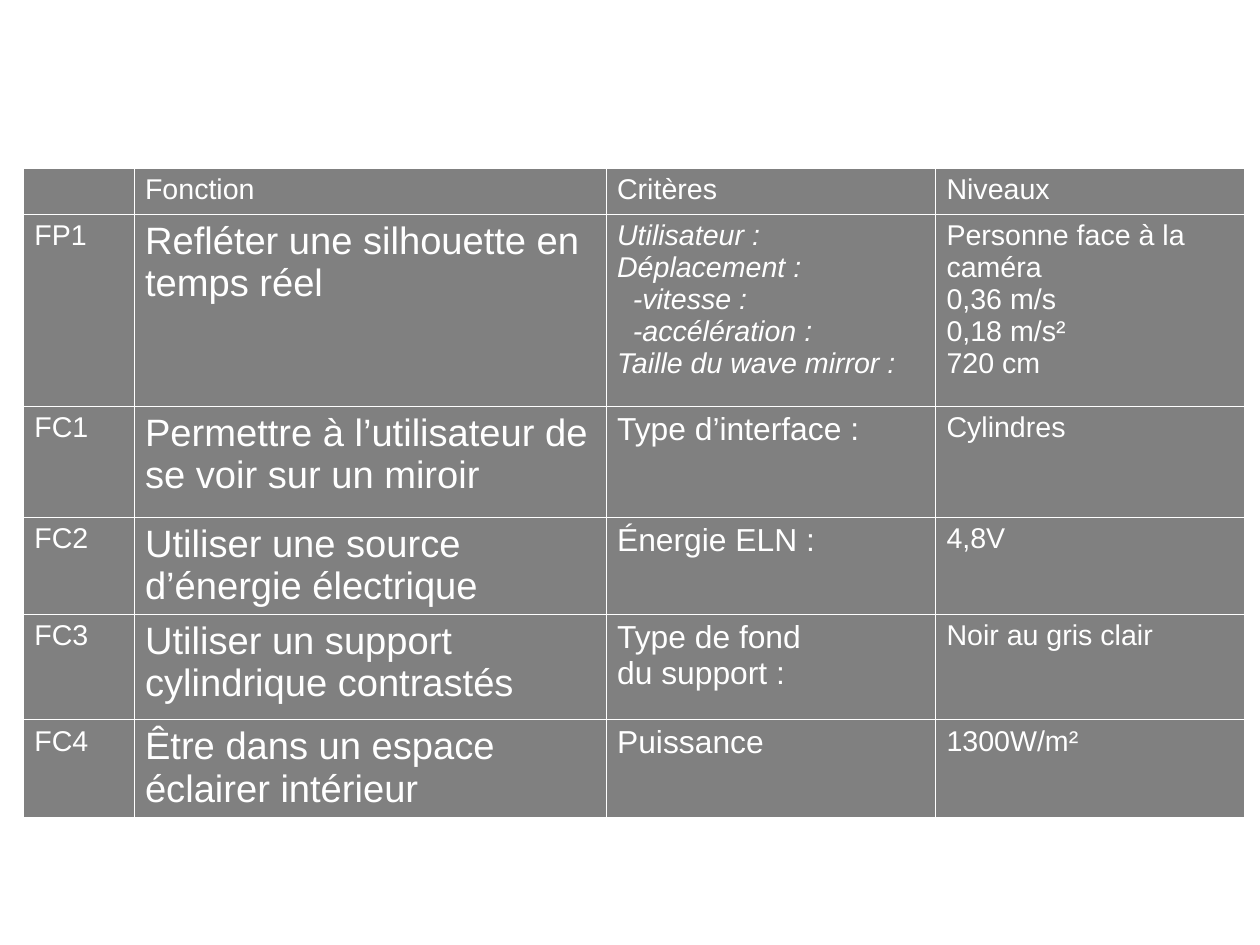
from lxml.etree import SubElement
from pptx import Presentation
from pptx.dml.color import RGBColor
from pptx.oxml.ns import qn
from pptx.util import Cm, Pt

WHITE = RGBColor(0xFF, 0xFF, 0xFF)
GREY = RGBColor(0x80, 0x80, 0x80)
FONT = "Arial"
BORDER = Pt(0.06)
DASH_INDENT = Cm(0.35)

HEADINGS = ("", "Fonction", "Critères", "Niveaux")
FUNCTIONS = [
    ("FP1", "Refléter une silhouette en temps réel",
     ("Utilisateur :", "Déplacement :", "-vitesse :", "-accélération :",
      "Taille du wave mirror :"),
     ("Personne face à la caméra", "0,36 m/s", "0,18 m/s²", "720 cm")),
    ("FC1", "Permettre à l’utilisateur de se voir sur un miroir",
     ("Type d’interface :",), ("Cylindres",)),
    ("FC2", "Utiliser une source d’énergie électrique",
     ("Énergie ELN :",), ("4,8V",)),
    ("FC3", "Utiliser un support cylindrique contrastés",
     ("Type de fond", "du support :"), ("Noir au gris clair",)),
    ("FC4", "Être dans un espace éclairer intérieur",
     ("Puissance",), ("1300W/m²",)),
]
LEFT, TOP = 0.51, 3.73
COLUMN_WIDTHS = (2.46, 10.49, 7.32, 6.86)
ROW_HEIGHTS = (0.97, 4.27, 2.46, 2.16, 2.34, 2.16)


def fill_cell(cell, lines, size=18, italic=False):
    properties = cell._tc.get_or_add_tcPr()
    for side in ("lnL", "lnR", "lnT", "lnB"):
        edge = SubElement(properties, qn(f"a:{side}"), w=str(BORDER))
        paint = SubElement(edge, qn("a:solidFill"))
        SubElement(paint, qn("a:srgbClr"), val=str(WHITE))
    cell.fill.solid()
    cell.fill.fore_color.rgb = GREY
    cell.text = "\n".join(lines)
    for paragraph in cell.text_frame.paragraphs:
        if paragraph.text.startswith("-"):
            paragraph._p.get_or_add_pPr().set("marL", str(DASH_INDENT))
        for run in paragraph.runs:
            run.font.name = FONT
            run.font.size = Pt(size)
            run.font.italic = italic
            run.font.color.rgb = WHITE


def main():
    deck = Presentation()
    deck.slide_width, deck.slide_height = Cm(28), Cm(21)
    slide = deck.slides.add_slide(deck.slide_layouts[6])
    requirements = slide.shapes.add_table(
        len(ROW_HEIGHTS), len(COLUMN_WIDTHS), Cm(LEFT), Cm(TOP),
        Cm(sum(COLUMN_WIDTHS)), Cm(sum(ROW_HEIGHTS))).table
    requirements.first_row = False
    requirements.horz_banding = False
    for column, width in zip(requirements.columns, COLUMN_WIDTHS):
        column.width = Cm(width)
    for row, height in zip(requirements.rows, ROW_HEIGHTS):
        row.height = Cm(height)

    for column, heading in enumerate(HEADINGS):
        fill_cell(requirements.cell(0, column), [heading])
    for row, (code, function, criteria, levels) in enumerate(FUNCTIONS, 1):
        main_function = code.startswith("FP")
        fill_cell(requirements.cell(row, 0), [code])
        fill_cell(requirements.cell(row, 1), [function], size=24)
        fill_cell(requirements.cell(row, 2), criteria,
                  size=18 if main_function else 20, italic=main_function)
        fill_cell(requirements.cell(row, 3), levels)
    deck.save("out.pptx")


if __name__ == "__main__":
    main()
